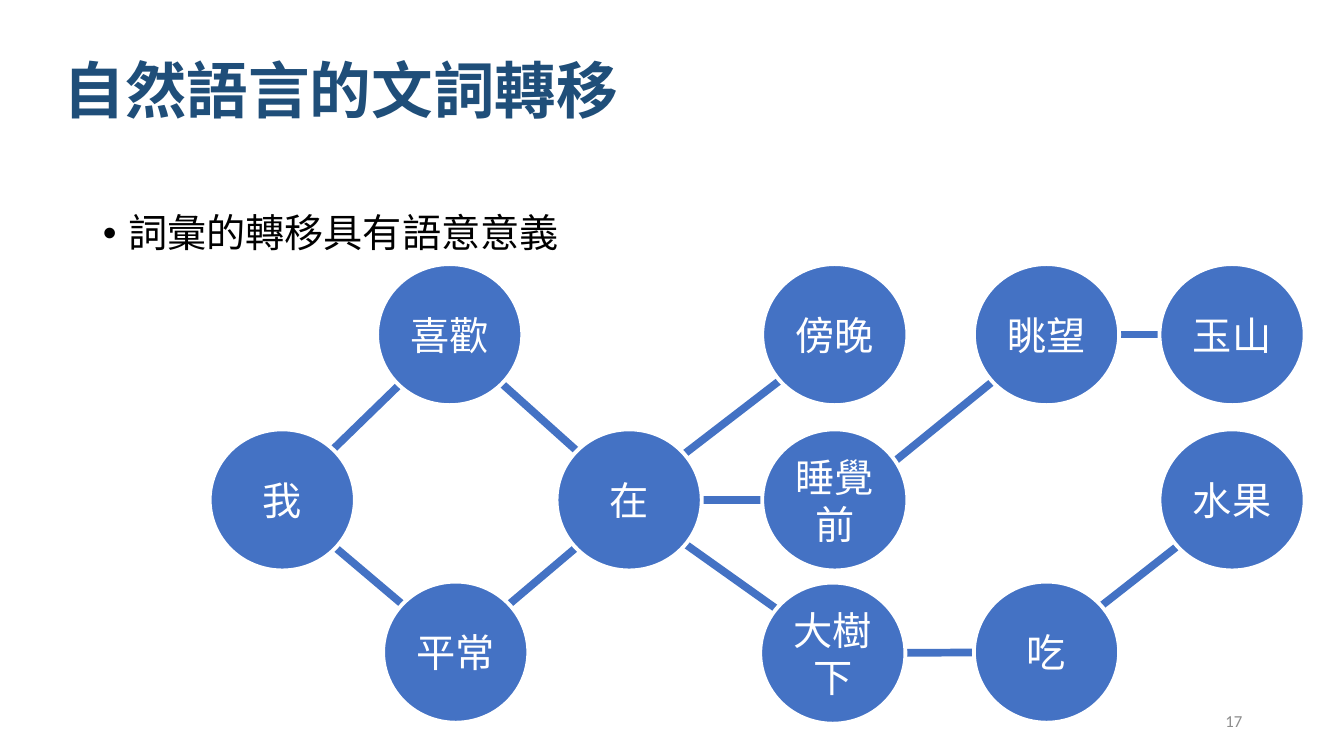
import dataclasses

import pptx
import pptx.dml.color
import pptx.enum.shapes
import pptx.enum.text
import pptx.oxml.ns
import pptx.util
from lxml import etree

Inches = pptx.util.Inches
Pt = pptx.util.Pt
qn = pptx.oxml.ns.qn
ALIGN = pptx.enum.text.PP_ALIGN
ANCHOR = pptx.enum.text.MSO_ANCHOR

COLORS = {
    "node": "4472C4",
    "white": "FFFFFF",
    "title": "1F4E79",
    "body": "000000",
    "number": "8C8C8C",
}
CJK = "Noto Sans CJK TC"
NODE_W, NODE_H = 1.44, 1.40

# Link ends, as offsets from the centre of a word
SITES = {
    "E": (0.15, 0),
    "W": (-0.15, 0),
    "NE": (0.11, -0.12),
    "NW": (-0.11, -0.12),
    "SE": (0.11, 0.12),
    "SW": (-0.11, 0.12),
    "ENE": (0.22, -0.08),
}


@dataclasses.dataclass(frozen=True)
class Word:
    text: str
    left: float
    top: float


@dataclasses.dataclass(frozen=True)
class Link:
    start: str
    start_site: str
    end: str
    end_site: str


WORDS = [
    Word("我", 2.08, 4.26),
    Word("喜歡", 3.74, 2.62),
    Word("平常", 3.80, 5.77),
    Word("在", 5.52, 4.26),
    Word("傍晚", 7.56, 2.62),
    Word("睡覺前", 7.56, 4.26),
    Word("大樹下", 7.54, 5.78),
    Word("眺望", 9.66, 2.62),
    Word("吃", 9.66, 5.77),
    Word("玉山", 11.50, 2.62),
    Word("水果", 11.50, 4.26),
]
LINKS = [
    Link("我", "NE", "喜歡", "SW"),
    Link("我", "SE", "平常", "NW"),
    Link("喜歡", "SE", "在", "NW"),
    Link("平常", "NE", "在", "SW"),
    Link("在", "NE", "傍晚", "SW"),
    Link("在", "E", "睡覺前", "W"),
    Link("在", "SE", "大樹下", "NW"),
    Link("睡覺前", "ENE", "眺望", "SW"),
    Link("大樹下", "E", "吃", "W"),
    Link("眺望", "E", "玉山", "W"),
    Link("吃", "NE", "水果", "SW"),
]


def rgb(name: str) -> pptx.dml.color.RGBColor:
    return pptx.dml.color.RGBColor.from_string(COLORS[name])


def set_attrs(obj, values: dict) -> None:
    for name, value in values.items():
        setattr(obj, name, value)


def place(sp, left: float, top: float, width: float, height: float) -> None:
    box = {"left": left, "top": top, "width": width, "height": height}
    set_attrs(sp, {name: Inches(value) for name, value in box.items()})


def write(sp, text: str, color: str, font: dict, para: dict, frame: dict):
    """Fill a shape with one formatted paragraph and return it."""
    tf = sp.text_frame
    set_attrs(tf, {"word_wrap": True, **frame})
    p = tf.paragraphs[0]
    set_attrs(p, para)
    r = p.add_run()
    r.text = text
    set_attrs(r.font, font)
    r.font.color.rgb = rgb(color)
    ea = etree.SubElement(r.font._element, qn("a:ea"))
    ea.set("typeface", font["name"])
    return p


def add_link(slide, link: Link, words: dict[str, Word]) -> None:
    ends = []
    for text, site in ((link.start, link.start_site), (link.end, link.end_site)):
        word, (dx, dy) = words[text], SITES[site]
        ends += [Inches(word.left + NODE_W / 2 + dx),
                 Inches(word.top + NODE_H / 2 + dy)]
    cxn = slide.shapes.add_connector(
        pptx.enum.shapes.MSO_CONNECTOR.STRAIGHT, *ends)
    cxn.line.color.rgb = rgb("node")
    cxn.line.width = Pt(5.5)
    etree.SubElement(cxn._element.spPr, qn("a:effectLst"))


def add_word(slide, word: Word) -> None:
    sp = slide.shapes.add_shape(
        pptx.enum.shapes.MSO_SHAPE.OVAL, Inches(word.left), Inches(word.top),
        Inches(NODE_W), Inches(NODE_H))
    sp.shadow.inherit = False
    sp.fill.solid()
    sp.fill.fore_color.rgb = rgb("node")
    sp.line.color.rgb = rgb("white")
    sp.line.width = Pt(2.75)
    write(sp, word.text, "white", {"name": CJK, "size": Pt(28)},
          {"alignment": ALIGN.CENTER}, {"vertical_anchor": ANCHOR.MIDDLE})


def main() -> None:
    prs = pptx.Presentation()
    set_attrs(prs, {"slide_width": Inches(13.33), "slide_height": Inches(7.5)})
    slide = prs.slides.add_slide(prs.slide_layouts[1])
    no_fit = {"auto_size": pptx.enum.text.MSO_AUTO_SIZE.NONE}

    # Title
    title = slide.shapes.title
    place(title, 0.53, 0.4, 12.2, 1.05)
    write(title, "自然語言的文詞轉移", "title",
          {"name": CJK, "size": Pt(44), "bold": True},
          {"alignment": ALIGN.LEFT, "line_spacing": 0.9},
          {"vertical_anchor": ANCHOR.MIDDLE, **no_fit})

    # Bullet list
    body = slide.placeholders[1]
    place(body, 0.92, 2.07, 6.29, 4.68)
    p = write(body, "詞彙的轉移具有語意意義", "body",
              {"name": CJK, "size": Pt(28)},
              {"line_spacing": 0.9, "space_before": Pt(0)},
              {"vertical_anchor": ANCHOR.TOP, **no_fit})
    pPr = p._p.get_or_add_pPr()
    pPr.set("marL", str(Inches(0.25)))
    pPr.set("indent", str(Inches(-0.25)))
    etree.SubElement(pPr, qn("a:buFont")).set("typeface", "Arial")
    etree.SubElement(pPr, qn("a:buChar")).set("char", "•")

    # Word graph: links lie behind the words
    words = {word.text: word for word in WORDS}
    for link in LINKS:
        add_link(slide, link, words)
    for word in WORDS:
        add_word(slide, word)

    # Slide number
    number = slide.shapes.add_textbox(
        Inches(9.42), Inches(6.95), Inches(3), Inches(0.4))
    write(number, "17", "number", {"name": "Calibri", "size": Pt(12)},
          {"alignment": ALIGN.RIGHT}, {"vertical_anchor": ANCHOR.MIDDLE})

    prs.save("out.pptx")


if __name__ == "__main__":
    main()
